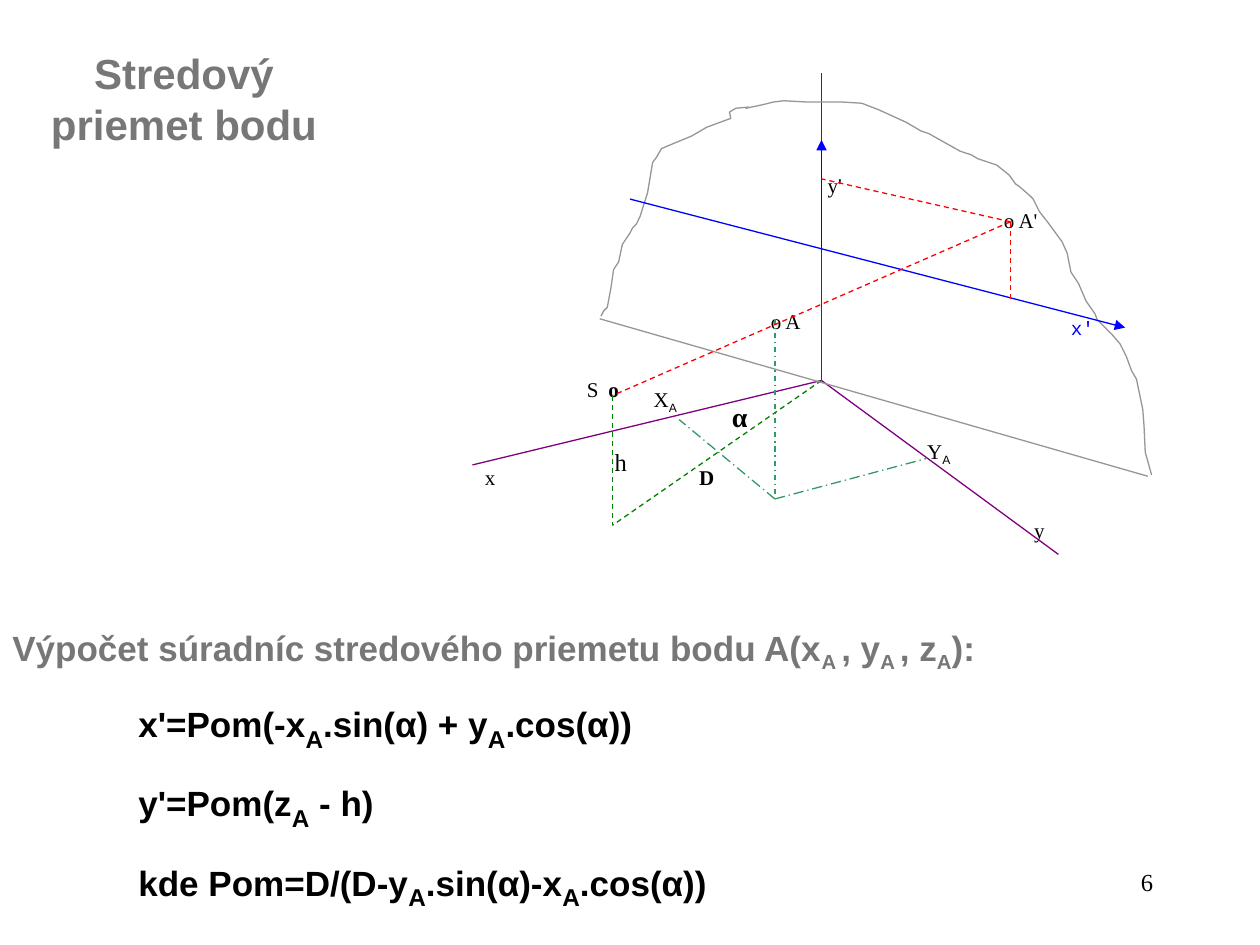
from lxml.etree import SubElement
from pptx import Presentation
from pptx.dml.color import RGBColor
from pptx.enum.dml import MSO_LINE as Dash
from pptx.enum.shapes import MSO_CONNECTOR as Link, MSO_SHAPE as Shape
from pptx.enum.text import MSO_ANCHOR as Anchor, MSO_AUTO_SIZE as Fit, PP_ALIGN as Align
from pptx.oxml.ns import qn
from pptx.util import Inches, Pt

BLACK, WHITE, GREY, EDGE = "000000", "FFFFFF", "777777", "969696"
AXIS, BLUE, RED, GREEN, TEAL = "800080", "0000FF", "FF0000", "008000", "339966"


def color(text):
    return RGBColor.from_string(text)


class Board:
    serif, sans, mono = "Times New Roman", "Arial", "Courier New"
    width = Pt(0.75)

    def __init__(self, slide):
        self.slide = slide
        self.shapes = slide.shapes

    def add_runs(self, par, parts, size=12, tint=BLACK, font=serif, bold=False, low=None):
        """Add runs; every second part is a subscript of size low."""
        for i, part in enumerate(parts):
            run = par.add_run()
            run.text = part
            sub = i % 2 == 1
            run.font.size = Pt(low if sub and low else size)
            run.font.name = self.sans if sub else font
            run.font.bold = bold
            run.font.color.rgb = color(tint)
            if sub:
                run._r.get_or_add_rPr().set("baseline", "-25000")

    def frame(self, shape):
        frame = shape.text_frame
        frame.word_wrap = True
        frame.auto_size = Fit.NONE
        frame.vertical_anchor = Anchor.TOP
        return frame

    def title(self, box, text):
        shape = self.shapes.title
        shape.left, shape.top, shape.width, shape.height = map(Inches, box)
        par = self.frame(shape).paragraphs[0]
        par.alignment = Align.CENTER
        self.add_runs(par, [text], 24, GREY, self.sans, True)

    def panel(self, box):
        shape = self.shapes.add_shape(Shape.RECTANGLE, *map(Inches, box))
        shape.shadow.inherit = False
        shape.fill.solid()
        shape.fill.fore_color.rgb = color(WHITE)
        shape.line.fill.background()
        return shape

    def label(self, box, parts, **style):
        par = self.frame(self.panel(box)).paragraphs[0]
        par.alignment = Align.LEFT
        self.add_runs(par, parts, **style)
        return par

    def text(self, box):
        return self.frame(self.shapes.add_textbox(*map(Inches, box)))

    def line(self, start, end, tint, dash=None, arrow=False):
        link = self.shapes.add_connector(Link.STRAIGHT, *map(Inches, start + end))
        link.line.color.rgb = color(tint)
        link.line.width = self.width
        if dash:
            link.line.dash_style = dash
        if arrow:
            SubElement(link.line._get_or_add_ln(), qn("a:tailEnd"), type="triangle")
        SubElement(link._element.spPr, qn("a:effectLst"))

    def outline(self, points, tint):
        first, *rest = [tuple(map(Inches, point)) for point in points]
        pen = self.shapes.build_freeform(*first)
        pen.add_line_segments(rest, close=False)
        shape = pen.convert_to_shape()
        shape.shadow.inherit = False
        shape.fill.background()
        shape.line.color.rgb = color(tint)
        shape.line.width = self.width


LABELS = [
    ((5.09, 3.02, 0.44, 0.31), ["X", "A"], {}),
    ((7.26, 3.43, 0.43, 0.35), ["Y", "A"], {}),
    ((6.02, 2.4, 0.71, 0.42), ["o A"], {}),
    ((7.87, 1.6, 0.77, 0.33), ["o A'"], {}),
    ((6.47, 1.32, 0.39, 0.32), ["y'"], {}),
    ((8.11, 4.06, 0.28, 0.27), ["y"], {}),
    ((3.75, 3.64, 0.31, 0.32), ["x"], {}),
    ((8.4, 2.46, 0.53, 0.34), ["x'"], dict(size=11, tint=BLUE, font=Board.mono)),
    ((5.45, 3.64, 0.39, 0.32), ["D"], dict(bold=True)),
    ((4.78, 3.5, 0.49, 0.28), ["h"], dict(size=14)),
    ((5.71, 3.12, 0.37, 0.37), ["α"], dict(size=16, bold=True)),
]

RIM = [
    (4.77, 2.51), (4.79, 2.47), (4.82, 2.44), (4.85, 2.28), (4.87, 2.14), (4.91, 2.08),
    (4.94, 1.94), (5, 1.85), (5.02, 1.81), (5.05, 1.78), (5.08, 1.72), (5.14, 1.53),
    (5.18, 1.29), (5.21, 1.25), (5.25, 1.18), (5.32, 1.15), (5.49, 1.08), (5.61, 1.01),
    (5.8, 0.94), (5.79, 0.89), (5.84, 0.86), (5.94, 0.85), (5.92, 0.86), (6.06, 0.83),
    (6.14, 0.81), (6.22, 0.8), (6.4, 0.81), (6.68, 0.81), (6.84, 0.82), (6.97, 0.87),
    (7.19, 0.97), (7.31, 1.04), (7.37, 1.06), (7.62, 1.2), (7.71, 1.23), (7.76, 1.26),
    (7.91, 1.31), (8.01, 1.39), (8.06, 1.46), (8.09, 1.48), (8.17, 1.55), (8.2, 1.58),
    (8.25, 1.68), (8.32, 1.77), (8.43, 1.92), (8.47, 2.01), (8.5, 2.16), (8.56, 2.25),
    (8.62, 2.39), (8.69, 2.49), (8.71, 2.54), (8.83, 2.66), (8.89, 2.73), (8.94, 2.83),
    (8.98, 2.94), (9.02, 3.01), (9.07, 3.25), (9.08, 3.38), (9.09, 3.59), (9.14, 3.77),
]

FORMULAS = [
    ["x'=Pom(-x", "A", ".sin(α) + y", "A", ".cos(α))"],
    ["y'=Pom(z", "A", " - h)"],
    ["kde Pom=D/(D-y", "A", ".sin(α)-x", "A", ".cos(α))"],
]


def draw(board):
    origin, eye, image = (6.52, 3.02), (4.86, 3.14), (8.02, 1.76)
    point, foot, base = (6.15, 2.53), (6.15, 3.96), (4.86, 4.17)
    for end in ((6.52, 0.58), (3.75, 3.69), (8.4, 4.4)):
        board.line(origin, end, AXIS)
    for start in (eye, origin):
        board.line(start, base, GREEN, Dash.DASH)
    board.line((4.76, 2.53), (9.11, 3.78), EDGE)
    board.outline(RIM, EDGE)
    board.line((5, 1.58), (8.93, 2.6), BLUE, arrow=True)
    board.line((6.52, 1.98), (6.52, 1.11), BLUE, arrow=True)
    board.line(point, foot, TEAL, Dash.DASH_DOT)
    for end in ((7.35, 3.64), (5.39, 3.33)):
        board.line(foot, end, TEAL, Dash.LONG_DASH_DOT)
    for end in (eye, (8.02, 2.4), (6.52, 1.42)):
        board.line(image, end, RED, Dash.DASH)


def main():
    deck = Presentation()
    deck.slide_width, deck.slide_height = Inches(10), Inches(7.5)
    board = Board(deck.slides.add_slide(deck.slide_layouts[5]))
    board.title((0.25, 0.33, 2.42, 0.9), "Stredový priemet bodu")

    board.panel((3.25, 0.42, 6.33, 4))
    for box, parts, style in LABELS:
        board.label(box, parts, **style)
    par = board.label((4.56, 2.94, 0.53, 0.31), ["S\t"])
    stops = SubElement(par._p.get_or_add_pPr(), qn("a:tabLst"))
    SubElement(stops, qn("a:tab"), pos=str(Inches(0.17)), algn="l")
    board.add_runs(par, ["o"], bold=True)
    draw(board)

    frame = board.text((0, 4.92, 9.17, 2.37))
    head = ["Výpočet súradníc stredového priemetu bodu A(x", "A ", ", y", "A ", ", z", "A", "):"]
    board.add_runs(frame.paragraphs[0], head, 20, GREY, board.sans, True)
    for parts in FORMULAS:
        par = frame.add_paragraph()
        par.space_before = Pt(12.5)
        par._p.get_or_add_pPr().set("marL", str(Inches(1)))
        board.add_runs(par, parts, 20, BLACK, board.sans, True, low=24)

    par = board.text((7.17, 6.83, 2.08, 0.5)).paragraphs[0]
    par.alignment = Align.RIGHT
    board.add_runs(par, ["6"], 14)
    deck.save("out.pptx")


if __name__ == "__main__":
    main()
